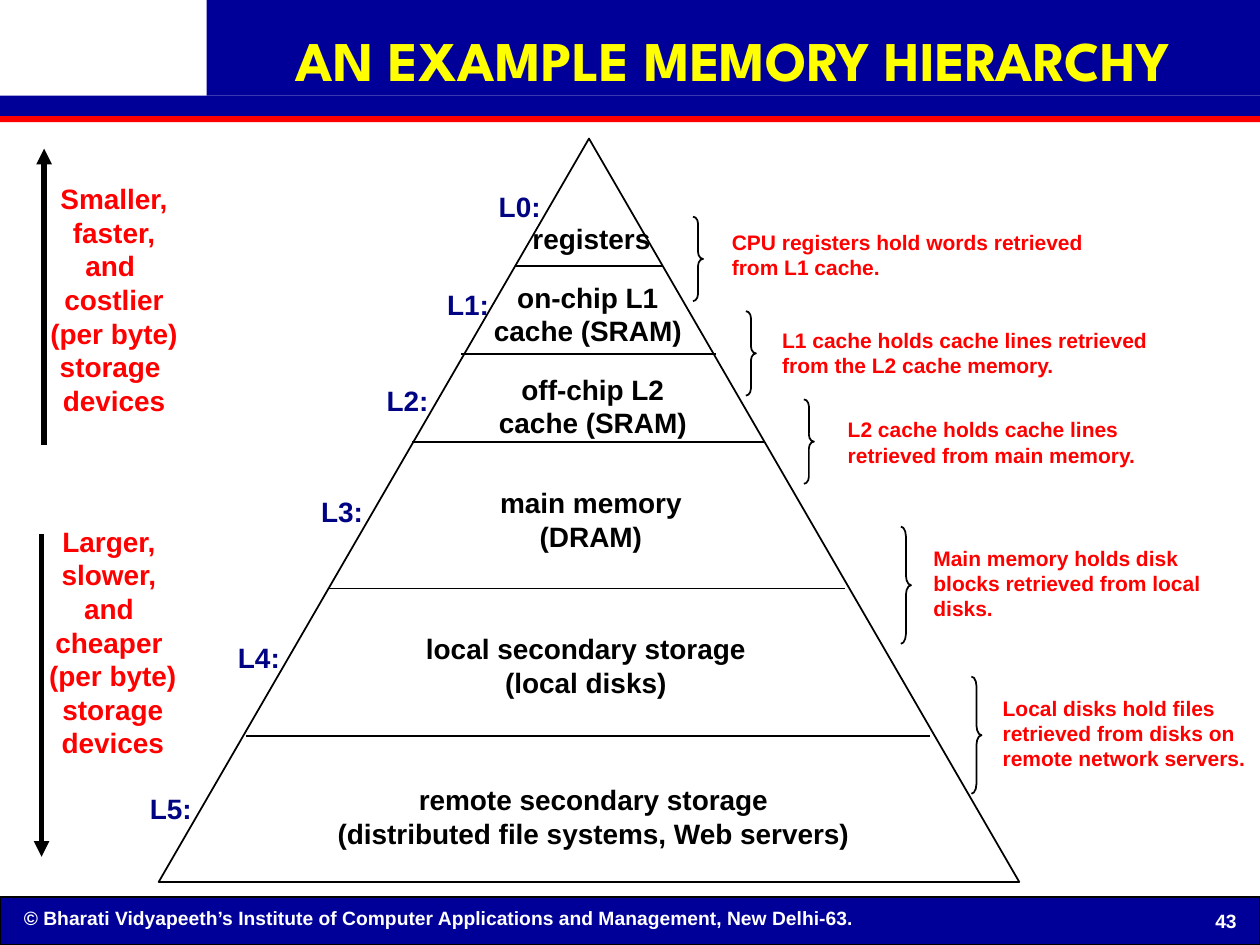
from pptx import Presentation
from pptx.dml.color import RGBColor
from pptx.enum.shapes import MSO_CONNECTOR, MSO_SHAPE
from pptx.enum.text import MSO_ANCHOR, MSO_AUTO_SIZE, PP_ALIGN
from pptx.oxml import parse_xml
from pptx.oxml.ns import nsdecls, qn
from pptx.util import Inches, Pt

BLUE = RGBColor(0x00, 0x00, 0x99)
NAVY = RGBColor(0x00, 0x04, 0x82)
RED = RGBColor(0xFF, 0x00, 0x00)
YELLOW = RGBColor(0xFF, 0xFF, 0x00)
BLACK = RGBColor(0x00, 0x00, 0x00)
WHITE = RGBColor(0xFF, 0xFF, 0xFF)

LEVELS = [
    ("L0:", 3.86, 1.45, "registers", (4.13, 1.71, 1.13, 0.37)),
    ("L1:", 3.45, 2.23, "on-chip L1\ncache (SRAM)", (3.82, 2.17, 1.69, 0.64)),
    ("L2:", 2.97, 2.99, "off-chip L2\ncache (SRAM)", (3.86, 2.9, 1.69, 0.64)),
    ("L3:", 2.45, 3.87, "main memory\n(DRAM)", (3.87, 3.8, 1.64, 0.64)),
    ("L4:", 1.79, 5.03, "local secondary storage\n(local disks)", (3.28, 4.96, 2.74, 0.64)),
    ("L5:", 1.09, 6.23, "remote secondary storage\n(distributed file systems, Web servers)",
     (2.58, 6.16, 4.26, 0.64)),
]
CUTS = [(4.09, 5.26, 2.11), (3.66, 5.68, 2.81), (3.27, 6.06, 3.51),
        (2.6, 6.71, 4.67), (1.95, 7.38, 5.84)]
NOTES = [
    ("CPU registers hold words retrieved from L1 cache.",
     (5.71, 1.77, 3.19, 0.5), (5.5, 1.72, 0.67)),
    ("L1 cache holds cache lines retrieved from the L2 cache memory.",
     (6.11, 2.55, 3.1, 0.5), (5.92, 2.47, 0.67)),
    ("L2 cache holds cache lines retrieved from main memory.",
     (6.63, 3.26, 2.87, 0.5), (6.38, 3.17, 0.67)),
    ("Main memory holds disk\nblocks retrieved from local\ndisks.",
     (7.31, 4.28, 3.03, 0.7), (7.15, 4.18, 0.93)),
    ("Local disks hold files retrieved from disks on remote network servers.",
     (7.86, 5.47, 2.26, 0.7), (7.71, 5.37, 0.93)),
]
TRENDS = [
    ("Smaller,\nfaster,\nand \ncostlier\n(per byte)\nstorage \ndevices",
     (0.3, 1.39, 1.21, 1.97), (0.35, 3.53, 0.35, 1.18)),
    ("Larger, \nslower, \nand \ncheaper \n(per byte)\nstorage\ndevices",
     (0.29, 4.11, 1.21, 1.97), (0.33, 4.24, 0.33, 6.8)),
]


def write(frame, text, size=16, color=BLACK, face="Arial", align=PP_ALIGN.CENTER,
          anchor=MSO_ANCHOR.MIDDLE, wrap=False):
    frame.auto_size = MSO_AUTO_SIZE.NONE
    frame.word_wrap = wrap
    frame.vertical_anchor = anchor
    frame.text = text
    for para in frame.paragraphs:
        para.alignment = align
        font = para.font
        font.name, font.size, font.bold = face, Pt(size), True
        font.color.rgb = color


class Board:
    def __init__(self, slide):
        self.slide = slide
        self.shapes = slide.shapes
        self.ink = BLACK
        self.thin = 1

    def title(self, text, box):
        head = self.shapes.title
        head.left, head.top, head.width, head.height = map(Inches, box)
        write(head.text_frame, text, size=32, color=YELLOW, face="League Spartan", wrap=True)
        head.element.getparent().append(head.element)

    def text(self, text, box, **style):
        write(self.shapes.add_textbox(*map(Inches, box)).text_frame, text, **style)

    def shape(self, kind, box, fill=None, width=None):
        item = self.shapes.add_shape(kind, *map(Inches, box))
        item.shadow.inherit = False
        if fill is None:
            item.fill.background()
        else:
            item.fill.solid()
            item.fill.fore_color.rgb = fill
        if width is None:
            item.line.fill.background()
        else:
            item.line.color.rgb = self.ink
            item.line.width = Pt(width)
        return item

    def brace(self, left, top, height, width=0.08):
        item = self.shape(MSO_SHAPE.RIGHT_BRACE, (left, top, width, height), width=self.thin)
        item.adjustments[0] = height / 12 / width

    def line(self, ends, width=None, arrow=False):
        item = self.shapes.add_connector(MSO_CONNECTOR.STRAIGHT, *map(Inches, ends))
        item.line.color.rgb = self.ink
        item.line.width = Pt(width or self.thin)
        props = item.element.spPr
        if arrow:
            props.find(qn("a:ln")).append(
                parse_xml(f'<a:tailEnd {nsdecls("a")} type="triangle"/>'))
        props.append(parse_xml(f'<a:effectLst {nsdecls("a")}/>'))


def main():
    deck = Presentation()
    deck.slide_width, deck.slide_height = Inches(10), Inches(7.5)
    board = Board(deck.slides.add_slide(deck.slide_layouts[5]))

    board.shape(MSO_SHAPE.RECTANGLE, (0, 7.12, 10, 0.38), BLUE, 0.75)
    board.text("© Bharati Vidyapeeth’s Institute of Computer Applications and Management, New Delhi-63.",
               (0.09, 7.14, 9.18, 0.29), size=11, color=WHITE, align=PP_ALIGN.LEFT,
               anchor=MSO_ANCHOR.TOP, wrap=True)
    board.text("43", (9.47, 7.19, 0.52, 0.24), size=11, color=WHITE, wrap=True)
    for box, fill in [((0, 0.92, 10, 0.05), RED), ((1.64, 0, 8.36, 0.76), BLUE),
                      ((0, 0.76, 10, 0.16), BLUE)]:
        board.shape(MSO_SHAPE.RECTANGLE, box, fill)
    board.title("AN EXAMPLE MEMORY HIERARCHY", (1.67, 0.02, 8.3, 0.9))

    board.shape(MSO_SHAPE.ISOSCELES_TRIANGLE, (1.26, 1.1, 6.83, 5.9), width=1)
    for left, right, top in CUTS:
        board.line((left, top, right, top))
    for label, left, top, name, box in LEVELS:
        board.text(name, box)
        board.text(label, (left, top, 0.53, 0.37), color=NAVY)
    for note, box, brace in NOTES:
        board.text(note, box, size=12, color=RED, align=PP_ALIGN.LEFT, wrap=True)
        board.brace(*brace)
    for trend, box, ends in TRENDS:
        board.text(trend, box, color=RED)
        board.line(ends, width=3, arrow=True)

    deck.save("out.pptx")


if __name__ == "__main__":
    main()
